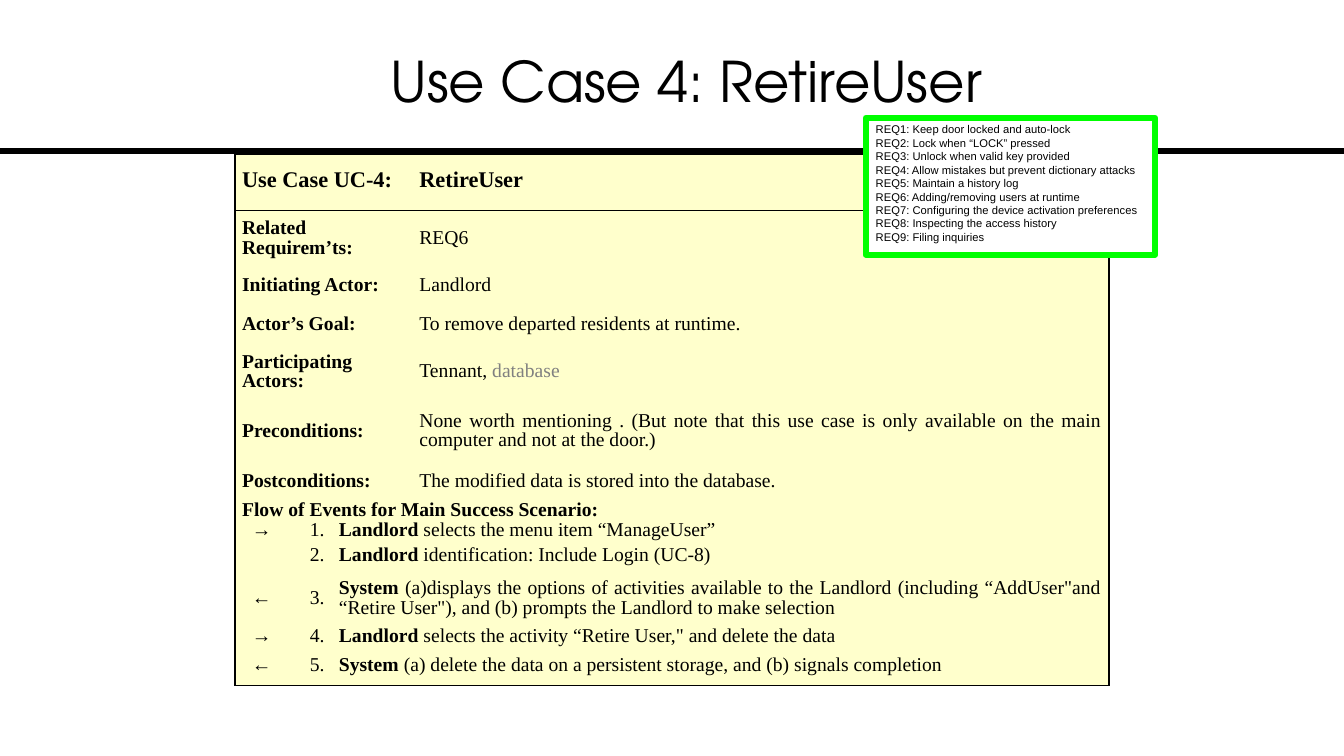
from lxml import etree
from pptx import Presentation
from pptx.dml.color import RGBColor
from pptx.enum.shapes import MSO_CONNECTOR, MSO_SHAPE
from pptx.enum.text import MSO_ANCHOR, PP_ALIGN
from pptx.oxml.ns import qn
from pptx.util import Cm, Pt

LEFT, CENTER, RIGHT = PP_ALIGN.LEFT, PP_ALIGN.CENTER, PP_ALIGN.RIGHT
JUSTIFY = PP_ALIGN.JUSTIFY
TOP, MIDDLE = MSO_ANCHOR.TOP, MSO_ANCHOR.MIDDLE
STRAIGHT = MSO_CONNECTOR.STRAIGHT
RECTANGLE = MSO_SHAPE.RECTANGLE

BLACK, GRAY, WHITE, GREEN, CREAM = "000000", "808080", "FFFFFF", "00FF00", "FFFFCC"
SERIF = "Times New Roman"
PLAIN_TABLE_STYLE = "{2D5ABB26-0587-4C30-8999-92F81FD0307C}"
COLUMN_WIDTHS = [1.35, 1.09, 2.03, 17.56]

FACTS = [
    (1.42, "Related Requirem’ts:", ["REQ6"]),
    (0.97, "Initiating Actor:", ["Landlord"]),
    (0.97, "Actor’s Goal:", ["To remove departed residents at runtime."]),
    (1.42, "Participating Actors:", ["Tennant, ", "database"]),
    (1.57, "Preconditions:", ["None worth mentioning . (But note that this use case is only "
                              "available on the main computer and not at the door.)"]),
    (0.97, "Postconditions:", ["The modified data is stored into the database."]),
]
STEPS = [
    (0.49, "→", "Landlord", " selects the menu item “ManageUser”"),
    (0.49, "", "Landlord", " identification: Include Login (UC-8)"),
    (1.42, "←", "System", " (a)displays the options of activities available to the Landlord "
     "(including “AddUser\"and “Retire User\"), and (b) prompts the Landlord to make selection"),
    (0.49, "→", "Landlord", " selects the activity “Retire User,\" and delete the data"),
    (0.97, "←", "System", " (a) delete the data on a persistent storage, and (b) signals completion"),
]
REQUIREMENTS = [
    "Keep door locked and auto-lock",
    "Lock when “LOCK” pressed",
    "Unlock when valid key provided",
    "Allow mistakes but prevent dictionary attacks",
    "Maintain a history log",
    "Adding/removing users at runtime",
    "Configuring the device activation preferences",
    "Inspecting the access history",
    "Filing inquiries",
]


def color(value):
    """Turn a hex string into a colour."""
    return RGBColor.from_string(value)


def add_span(para, text, font, size, bold=False, fill=BLACK):
    """Append formatted text to a paragraph."""
    span = para.add_run()
    span.text = text
    span.font.name = font
    span.font.size = Pt(size)
    span.font.bold = bold
    span.font.color.rgb = color(fill)


def add_rule(page, width):
    """Draw the heavy line under the title."""
    rule = page.shapes.add_connector(STRAIGHT, 0, Cm(3.81), width, Cm(3.81))
    rule.line.color.rgb = color(BLACK)
    rule.line.width = Pt(4.5)
    etree.SubElement(rule._element.spPr, qn("a:effectLst"))


def add_title(page, text):
    """Add the centred slide title."""
    box = page.shapes.add_textbox(Cm(1.42), Cm(0.43), Cm(31.75), Cm(3.18))
    frame = box.text_frame
    frame.word_wrap = True
    frame.vertical_anchor = MIDDLE
    frame.margin_left = frame.margin_right = 0
    para = frame.paragraphs[0]
    para.alignment = CENTER
    add_span(para, text, "TeX Gyre Adventor", 40)


def add_border(cell, side):
    """Draw a thin black border on one side of a cell."""
    line = etree.SubElement(cell._tc.get_or_add_tcPr(), qn(f"a:ln{side}"), w=str(Pt(1)))
    fill = etree.SubElement(line, qn("a:solidFill"))
    etree.SubElement(fill, qn("a:srgbClr"), val=BLACK)


def fill_cell(cell, spans, align, before=0, size=14, sides=""):
    """Fill a cell with (text, bold, colour) spans, borders and background."""
    for side in sides:
        add_border(cell, side)
    cell.fill.solid()
    cell.fill.fore_color.rgb = color(CREAM)
    para = cell.text_frame.paragraphs[0]
    para.alignment = align
    para.space_before = Pt(before)
    for text, bold, fill in spans:
        add_span(para, text, SERIF, size, bold, fill)


def add_use_case(page):
    """Build the use case table."""
    heights = [1.42, *(fact[0] for fact in FACTS), 0.49, *(step[0] for step in STEPS)]
    shape = page.shapes.add_table(len(heights), len(COLUMN_WIDTHS), Cm(5.92), Cm(3.89),
                                  Cm(sum(COLUMN_WIDTHS)), Cm(sum(heights)))
    table = shape.table
    table.first_row = table.horz_banding = False
    table._tbl.tblPr.find(qn("a:tableStyleId")).text = PLAIN_TABLE_STYLE
    for column, width in zip(table.columns, COLUMN_WIDTHS):
        column.width = Cm(width)
    for row, height in zip(table.rows, heights):
        row.height = Cm(height)
    for cell in table.iter_cells():
        cell.margin_left = cell.margin_right = Cm(0.18)
        cell.margin_top = cell.margin_bottom = 0
        cell.vertical_anchor = MIDDLE
        cell.text_frame.paragraphs[0].line_spacing = Pt(14)

    header, value = table.cell(0, 0), table.cell(0, 3)
    header.merge(table.cell(0, 2))
    fill_cell(header, [("Use Case UC-4:", True, BLACK)], LEFT, 6, 16, "LTB")
    fill_cell(value, [("RetireUser", True, BLACK)], LEFT, 6, 16, "RTB")

    for index, (_, label, texts) in enumerate(FACTS, 1):
        table.cell(index, 0).merge(table.cell(index, 2))
        fill_cell(table.cell(index, 0), [(label, True, BLACK)], JUSTIFY, 3, sides="L")
        spans = [(text, False, shade) for text, shade in zip(texts, (BLACK, GRAY))]
        fill_cell(table.cell(index, 3), spans, JUSTIFY, 3, sides="R")

    flow = len(FACTS) + 1
    table.cell(flow, 0).merge(table.cell(flow, 3))
    fill_cell(table.cell(flow, 0), [("Flow of Events for Main Success Scenario:", True, BLACK)],
              JUSTIFY, 4, sides="LR")

    for number, (_, arrow, actor, action) in enumerate(STEPS, 1):
        index = flow + number
        bottom = "B" if number == len(STEPS) else ""
        table.cell(index, 2).merge(table.cell(index, 3))
        arrow_spans = [(arrow, False, BLACK)] if arrow else []
        fill_cell(table.cell(index, 0), arrow_spans, CENTER, sides="L" + bottom)
        fill_cell(table.cell(index, 1), [(f"{number}.", False, BLACK)], RIGHT, sides=bottom)
        fill_cell(table.cell(index, 2), [(actor, True, BLACK), (action, False, BLACK)],
                  JUSTIFY, sides="R" + bottom)


def add_requirements(page):
    """Add the framed list of numbered requirements."""
    box = page.shapes.add_shape(RECTANGLE, Cm(21.82), Cm(2.97), Cm(7.29), Cm(3.45))
    box.shadow.inherit = False
    box.fill.solid()
    box.fill.fore_color.rgb = color(WHITE)
    box.line.color.rgb = color(GREEN)
    box.line.width = Pt(4.5)
    frame = box.text_frame
    frame.word_wrap = True
    frame.vertical_anchor = TOP
    for number, text in enumerate(REQUIREMENTS, 1):
        para = frame.paragraphs[0] if number == 1 else frame.add_paragraph()
        para.alignment = LEFT
        add_span(para, f"REQ{number}: {text}", "Arial", 8)


def main():
    """Build and save the slide."""
    deck = Presentation()
    deck.slide_width, deck.slide_height = Cm(33.87), Cm(19.05)
    page = deck.slides.add_slide(deck.slide_layouts[6])
    add_rule(page, deck.slide_width)
    add_title(page, "Use Case 4: RetireUser")
    add_use_case(page)
    add_requirements(page)
    deck.save("out.pptx")


main()
